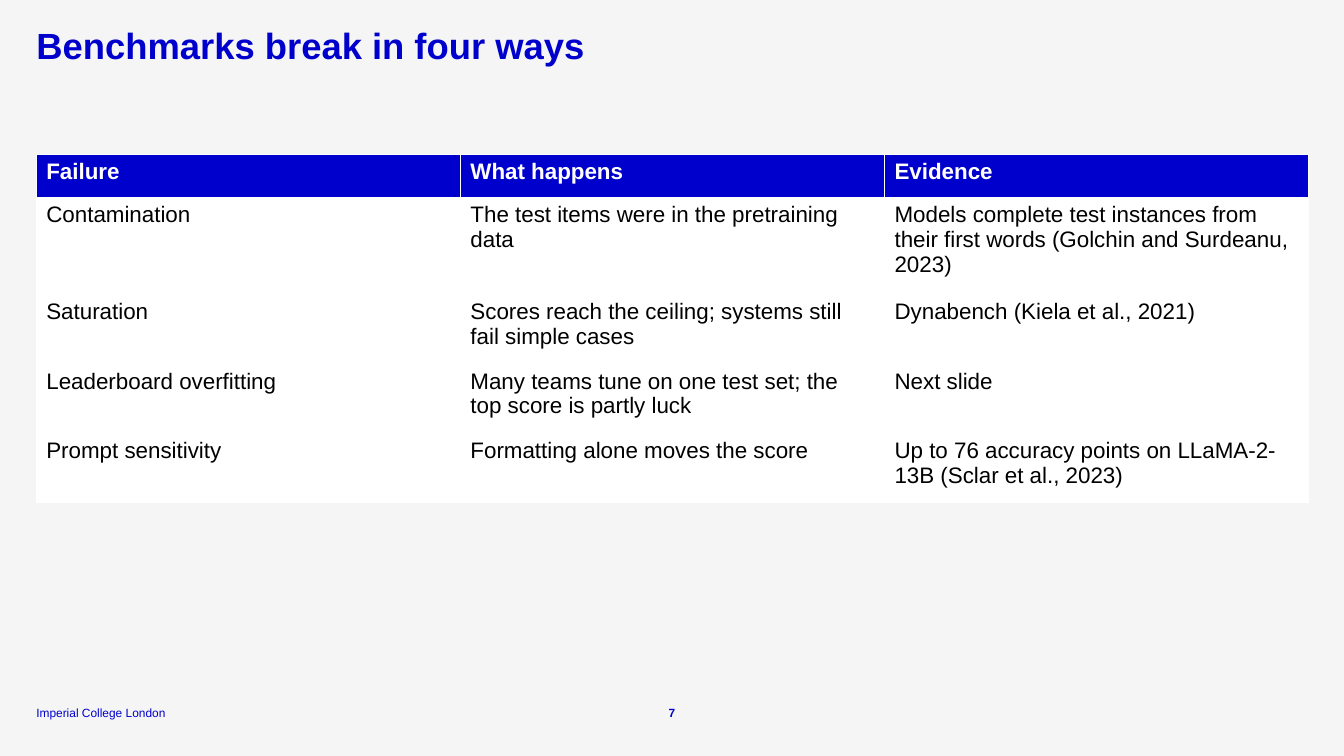
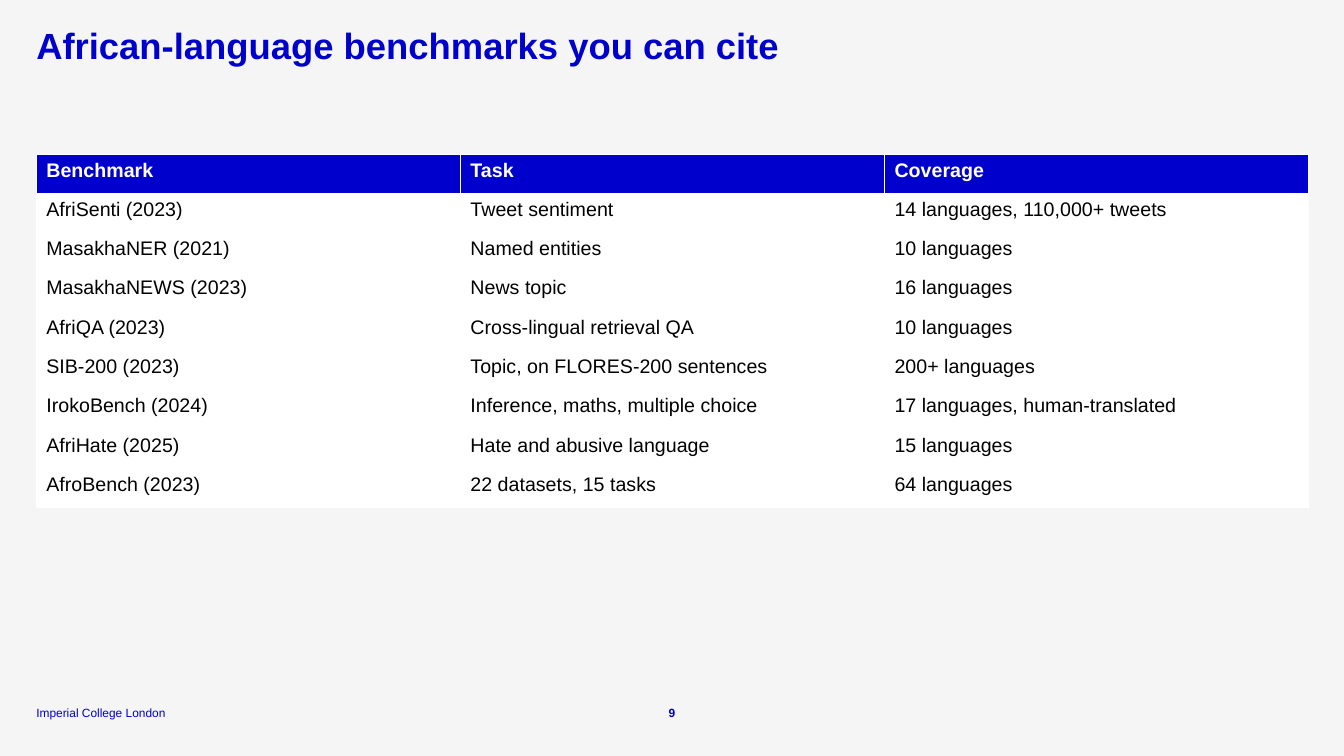
from pptx import Presentation
from pptx.dml.color import RGBColor
from pptx.enum.text import MSO_ANCHOR, MSO_AUTO_SIZE, PP_ALIGN
from pptx.util import Inches, Pt

TOP, BOTTOM = MSO_ANCHOR.TOP, MSO_ANCHOR.BOTTOM
LEFT, CENTER = PP_ALIGN.LEFT, PP_ALIGN.CENTER
NO_AUTOFIT = MSO_AUTO_SIZE.NONE

COLORS = {"blue": "0000CD", "white": "FFFFFF", "black": "000000", "page": "F5F5F5"}
FONT = "Arial"
SLIDE_W, SLIDE_H = 13.33, 7.5
MARGIN = 0.36
CONTENT_W = 12.62
TITLE_BOX = (MARGIN, 0.28, CONTENT_W, 0.41)
TABLE_TOP = 1.53
FOOTER_TOP, FOOTER_H = 6.99, 0.15
NUMBER_W = 0.35

FAILURES = [
    ("Failure", "What happens", "Evidence"),
    ("Contamination", "The test items were in the pretraining data",
     "Models complete test instances from their first words (Golchin and Surdeanu, 2023)"),
    ("Saturation", "Scores reach the ceiling; systems still fail simple cases",
     "Dynabench (Kiela et al., 2021)"),
    ("Leaderboard overfitting",
     "Many teams tune on one test set; the top score is partly luck", "Next slide"),
    ("Prompt sensitivity", "Formatting alone moves the score",
     "Up to 76 accuracy points on LLaMA-2-13B (Sclar et al., 2023)"),
]
BENCHMARKS = [
    ("Benchmark", "Task", "Coverage"),
    ("AfriSenti (2023)", "Tweet sentiment", "14 languages, 110,000+ tweets"),
    ("MasakhaNER (2021)", "Named entities", "10 languages"),
    ("MasakhaNEWS (2023)", "News topic", "16 languages"),
    ("AfriQA (2023)", "Cross-lingual retrieval QA", "10 languages"),
    ("SIB-200 (2023)", "Topic, on FLORES-200 sentences", "200+ languages"),
    ("IrokoBench (2024)", "Inference, maths, multiple choice",
     "17 languages, human-translated"),
    ("AfriHate (2025)", "Hate and abusive language", "15 languages"),
    ("AfroBench (2023)", "22 datasets, 15 tasks", "64 languages"),
]


def rgb(name):
    return RGBColor.from_string(COLORS[name])


def style(p, size, color, bold=False):
    p.font.name = FONT
    p.font.size = Pt(size)
    p.font.bold = bold
    p.font.color.rgb = rgb(color)


def fill_frame(tf, text, size, bold=False, anchor=TOP, align=LEFT, wrap=True):
    """Put one blue line of text in a frame without insets."""
    tf.margin_left = tf.margin_top = tf.margin_right = tf.margin_bottom = 0
    tf.auto_size = NO_AUTOFIT
    tf.word_wrap = wrap
    tf.vertical_anchor = anchor
    p = tf.paragraphs[0]
    p.text = text
    p.alignment = align
    style(p, size, "blue", bold)
    return p


def add_title(slide, text, box):
    title = slide.shapes.title
    title.left, title.top, title.width, title.height = map(Inches, box)
    p = fill_frame(title.text_frame, text, 26, bold=True)
    p.line_spacing = 0.9


def add_footer(slide, number):
    def place(text, left, width, **options):
        sp = slide.shapes.add_textbox(*map(Inches, (left, FOOTER_TOP, width, FOOTER_H)))
        fill_frame(sp.text_frame, text, 8.5, anchor=BOTTOM, **options)

    place("Imperial College London", MARGIN, 1.55, wrap=False)
    place(str(number), (SLIDE_W - NUMBER_W) / 2, NUMBER_W, bold=True, align=CENTER)


def add_table(slide, rows, heights, size, left, top, width):
    frame = slide.shapes.add_table(
        len(rows), len(rows[0]), *map(Inches, (left, top, width, sum(heights))))
    table = frame.table
    for column in table.columns:
        column.width = Inches(width / len(rows[0]))
    for i, (row, texts, height) in enumerate(zip(table.rows, rows, heights)):
        row.height = Inches(height)
        header = i == 0
        for cell, text in zip(row.cells, texts):
            cell.fill.solid()
            cell.fill.fore_color.rgb = rgb("blue" if header else "white")
            p = cell.text_frame.paragraphs[0]
            p.text = text
            style(p, size, "white" if header else "black", bold=header)


def table_slide(prs, title, number, rows, heights, size):
    slide = prs.slides.add_slide(prs.slide_layouts[5])  # Title Only
    add_title(slide, title, TITLE_BOX)
    add_footer(slide, number)
    add_table(slide, rows, heights, size, MARGIN, TABLE_TOP, CONTENT_W)


def main():
    prs = Presentation()
    prs.slide_width, prs.slide_height = Inches(SLIDE_W), Inches(SLIDE_H)

    # Shared page background
    background = prs.slide_master.background.fill
    background.solid()
    background.fore_color.rgb = rgb("page")

    table_slide(prs, "Benchmarks break in four ways", 7,
                FAILURES, [0.43, 0.96] + [0.69] * 3, 16)
    table_slide(prs, "African-language benchmarks you can cite", 9,
                BENCHMARKS, [0.39] * len(BENCHMARKS), 14)
    prs.save("out.pptx")


if __name__ == "__main__":
    main()
